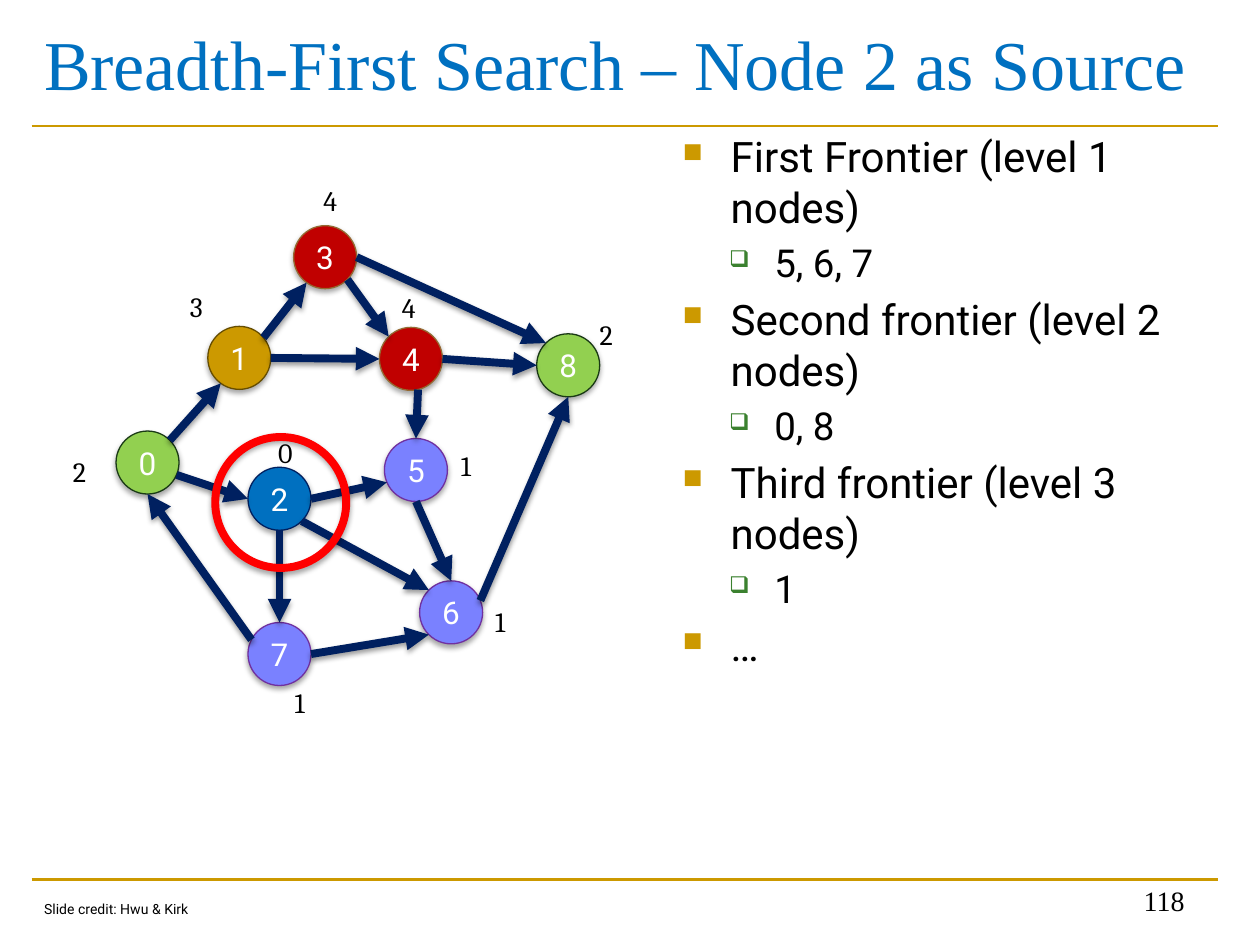
from math import cos, radians, sin

from lxml import etree
from pptx import Presentation
from pptx import util as u
from pptx.dml.color import RGBColor
from pptx.enum import shapes, text
from pptx.oxml import ns

hex_color = RGBColor.from_string
Cm, Pt = u.Cm, u.Pt


def add_shadow(part, opacity):
    part_properties = part._element.spPr
    effects = etree.SubElement(part_properties, ns.qn("a:effectLst"))
    shadow = etree.SubElement(effects, ns.qn("a:outerShdw"), blurRad=str(Pt(3.1)),
                              dist=str(Pt(1.8)), dir="5400000", rotWithShape="0")
    black = etree.SubElement(shadow, ns.qn("a:srgbClr"), val="000000")
    etree.SubElement(black, ns.qn("a:alpha"), val=str(opacity * 1000))


def add_label(wording, left, top, width, height, font, size, color="000000", wrap=True):
    box = slide.shapes.add_textbox(Cm(left), Cm(top), Cm(width), Cm(height))
    frame = box.text_frame
    frame.word_wrap = wrap
    frame.text = wording
    run_font = frame.paragraphs[0].runs[0].font
    run_font.name, run_font.size = font, Pt(size)
    run_font.color.rgb = hex_color(color)
    return frame


prs = Presentation()
prs.slide_width, prs.slide_height = Cm(25.4), Cm(19.05)
slide = prs.slides.add_slide(prs.slide_layouts[6])

# Rules below the title and above the footer
for rule_y in (2.54, 17.73):
    rule = slide.shapes.add_connector(shapes.MSO_CONNECTOR.STRAIGHT,
                                      Cm(0.64), Cm(rule_y), Cm(24.56), Cm(rule_y))
    rule.line.color.rgb = hex_color("CC9900")
    rule.line.width = Pt(1.5)
    etree.SubElement(rule._element.spPr, ns.qn("a:effectLst"))

# Graph nodes: left, top, distance from node 2, distance label left and top
DIAMETER = 1.27
nodes = [
    (2.34, 8.69, 2, 1.22, 9.04),
    (4.19, 6.58, 3, 3.58, 5.72),
    (5.00, 9.42, 0, 5.36, 8.66),
    (5.92, 4.55, 4, 6.27, 3.58),
    (7.65, 6.60, 4, 7.85, 5.74),
    (7.75, 8.84, 1, 9.04, 8.92),
    (8.46, 11.71, 1, 9.73, 12.07),
    (5.00, 12.55, 1, 5.69, 13.69),
    (10.82, 6.73, 2, 11.84, 6.27),
]
# Fill and outline for each distance
level_colors = [("0070C0", "002060"), ("7A81FF", "7030A0"), ("92D050", "1A3A15"),
                ("CC9900", "664D00"), ("C00000", "946A32")]

for number, (left, top, distance, _, _) in enumerate(nodes):
    node = slide.shapes.add_shape(shapes.MSO_SHAPE.OVAL, Cm(left), Cm(top),
                                  Cm(DIAMETER), Cm(DIAMETER))
    fill, outline = level_colors[distance]
    node.fill.solid()
    node.fill.fore_color.rgb = hex_color(fill)
    node.line.color.rgb = hex_color(outline)
    node.line.width = Pt(0.75)
    add_shadow(node, 35)
    frame = node.text_frame
    frame.margin_left = frame.margin_right = 0
    frame.vertical_anchor = text.MSO_ANCHOR.MIDDLE
    frame.text = str(number)
    paragraph = frame.paragraphs[0]
    paragraph.alignment = text.PP_ALIGN.CENTER
    paragraph.runs[0].font.name = "Roboto"
    paragraph.runs[0].font.size = Pt(18)
    paragraph.runs[0].font.color.rgb = hex_color("FFFFFF")

# Edges: start node, angle on its rim, end node, angle on its rim
# (degrees, clockwise from the right)
edges = [
    (0, -45, 1, 126), (0, 23, 2, 180), (1, -40, 3, 126), (1, 0, 4, 180),
    (2, 0, 5, 157), (3, 0, 8, 225), (3, 45, 4, 225), (4, 0, 8, 180),
    (4, 77, 5, 270), (2, 45, 6, 225), (2, 90, 7, 270), (7, 0, 6, 135),
    (5, 90, 6, 270), (7, 207, 0, 90), (6, -22, 8, 90),
]
for start, start_angle, end, end_angle in edges:
    ends = []
    for number, angle in ((start, start_angle), (end, end_angle)):
        left, top = nodes[number][:2]
        ends.append(Cm(left + DIAMETER / 2 * (1 + cos(radians(angle)))))
        ends.append(Cm(top + DIAMETER / 2 * (1 + sin(radians(angle)))))
    edge = slide.shapes.add_connector(shapes.MSO_CONNECTOR.STRAIGHT, *ends)
    edge.line.color.rgb = hex_color("002060")
    edge.line.width = Pt(4.5)
    etree.SubElement(edge.line._get_or_add_ln(), ns.qn("a:tailEnd"), type="triangle")
    add_shadow(edge, 38)

for _, _, distance, label_left, label_top in nodes:
    add_label(str(distance), label_left, label_top, 0.84, 0.93, "Cambria", 16, wrap=False)

source_ring = slide.shapes.add_shape(shapes.MSO_SHAPE.OVAL, Cm(4.34), Cm(8.81),
                                     Cm(2.64), Cm(2.64))
source_ring.fill.background()
source_ring.line.color.rgb = hex_color("FF0000")
source_ring.line.width = Pt(4.5)
add_shadow(source_ring, 35)

title = add_label("Breadth-First Search – Node 2 as Source", 0.64, 0, 23.93, 2.51,
                  "Times New Roman", 40, "0070C0")
title.vertical_anchor = text.MSO_ANCHOR.MIDDLE

# Frontier list: level and wording
frontiers = [
    (0, "First Frontier (level 1 nodes)"), (1, "5, 6, 7"),
    (0, "Second frontier (level 2 nodes)"), (1, "0, 8"),
    (0, "Third frontier (level 3 nodes)"), (1, "1"),
    (0, "…"),
]
# Text size, left margin, hanging indent, bullet, bullet color, bullet percent
list_levels = [(24, 0.97, 0.97, "■", "CC9900", 65), (22, 1.85, 0.91, "❑", "3B812F", 60)]

frontier_box = slide.shapes.add_textbox(Cm(13.51), Cm(2.51), Cm(11.05), Cm(15.19))
frontier_list = frontier_box.text_frame
frontier_list.word_wrap = True
for index, (level, wording) in enumerate(frontiers):
    size, margin, hanging, bullet, bullet_color, percent = list_levels[level]
    item = frontier_list.add_paragraph() if index else frontier_list.paragraphs[0]
    item.text = wording
    item.level = level
    if index:
        item.space_before = Pt(0.2 * size)
    properties = item._p.get_or_add_pPr()
    properties.set("marL", str(Cm(margin)))
    properties.set("indent", str(-Cm(hanging)))
    color = etree.SubElement(properties, ns.qn("a:buClr"))
    etree.SubElement(color, ns.qn("a:srgbClr"), val=bullet_color)
    etree.SubElement(properties, ns.qn("a:buSzPct"), val=str(percent * 1000))
    etree.SubElement(properties, ns.qn("a:buChar"), char=bullet)
    run_font = item.runs[0].font
    run_font.name, run_font.size = "Roboto", Pt(size)
    run_font.color.rgb = hex_color("000000")

page_number = add_label("118", 18.21, 17.35, 5.92, 1.27, "Times New Roman", 16)
page_number.vertical_anchor = text.MSO_ANCHOR.BOTTOM
page_number.paragraphs[0].alignment = text.PP_ALIGN.RIGHT

add_label("Slide credit: Hwu & Kirk", 0.64, 18.03, 3.53, 0.61, "Roboto", 8, wrap=False)

prs.save("out.pptx")
